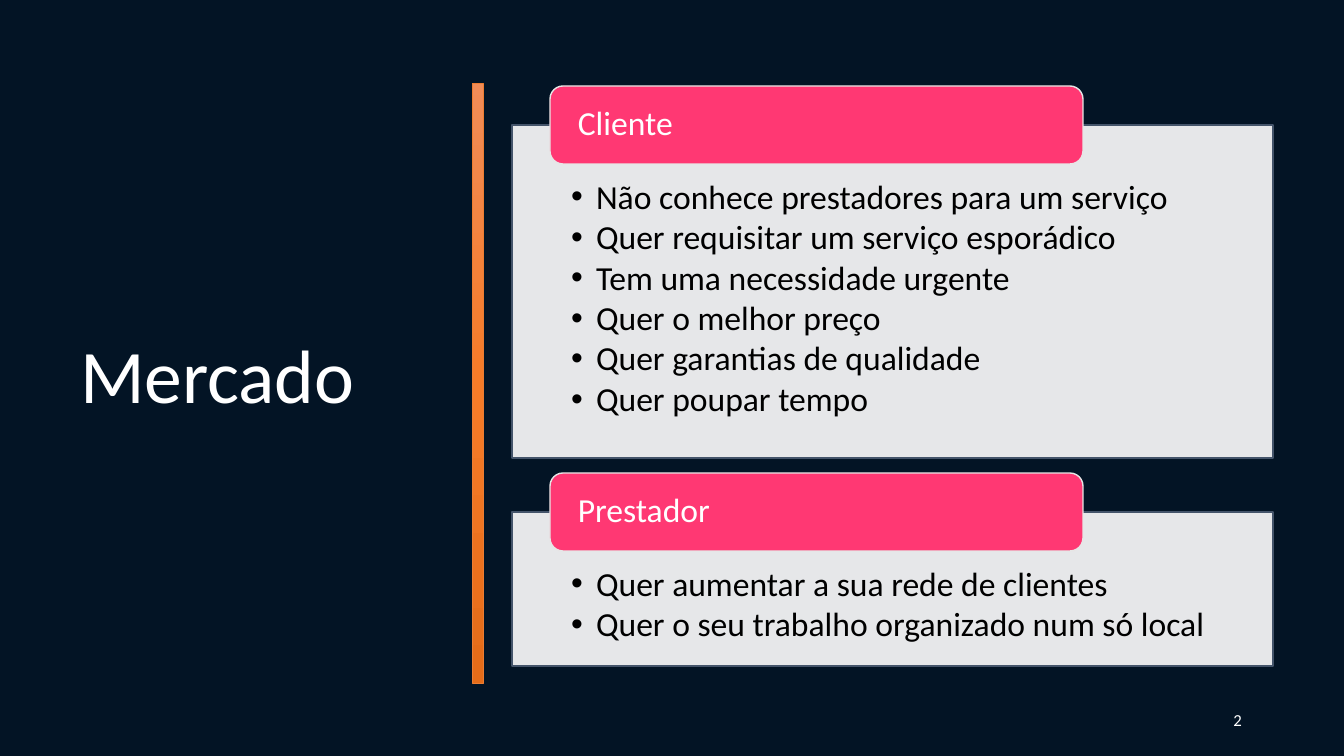
"""Build the "Mercado" slide: a title beside two tabbed panels of bullet points."""
from copy import deepcopy

from lxml import etree
from pptx import Presentation
from pptx.dml.color import RGBColor
from pptx.enum.shapes import MSO_SHAPE
from pptx.enum.text import MSO_ANCHOR, MSO_AUTO_SIZE, PP_ALIGN
from pptx.oxml.ns import qn
from pptx.util import Pt

PX = 12192000 / 1344
TWO_CONTENT = 3
FONT = "Calibri"

RECTANGLE, ROUNDED = MSO_SHAPE.RECTANGLE, MSO_SHAPE.ROUNDED_RECTANGLE
TOP, MIDDLE = MSO_ANCHOR.TOP, MSO_ANCHOR.MIDDLE
LEFT, RIGHT = PP_ALIGN.LEFT, PP_ALIGN.RIGHT
NO_AUTOFIT = MSO_AUTO_SIZE.NONE

NAVY = RGBColor(0x03, 0x14, 0x25)
WHITE = RGBColor(0xFF, 0xFF, 0xFF)
BLACK = RGBColor(0x00, 0x00, 0x00)
PINK = RGBColor(0xFF, 0x38, 0x73)
SLATE = RGBColor(0x44, 0x54, 0x6A)
LIGHT_GREY = RGBColor(0xE7, 0xE6, 0xE6)
ORANGE = RGBColor(0xED, 0x7D, 0x31)
BAR_STOPS = [
    (0, RGBColor(0xF1, 0x8C, 0x57)),
    (0.5, RGBColor(0xF6, 0x7B, 0x28)),
    (1, RGBColor(0xE5, 0x6C, 0x19)),
]

PANEL_LEFT, PANEL_WIDTH = 512, 761
TAB_LEFT, TAB_WIDTH, TAB_HEIGHT = 550, 533, 78
TAB_RISE = 39
BULLET_INDENT = 25

MARKET = [
    ("Cliente", 125, 333, [
        "Não conhece prestadores para um serviço",
        "Quer requisitar um serviço esporádico",
        "Tem uma necessidade urgente",
        "Quer o melhor preço",
        "Quer garantias de qualidade",
        "Quer poupar tempo",
    ]),
    ("Prestador", 512, 154, [
        "Quer aumentar a sua rede de clientes",
        "Quer o seu trabalho organizado num só local",
    ]),
]


def px(length):
    """Turn pixels into EMU."""
    return round(length * PX)


def apply(target, values):
    """Set each attribute named in a dict of format values."""
    for name, value in values.items():
        setattr(target, name, value)


def place(shape, left, top, width, height):
    """Move and size a shape, in pixels."""
    apply(shape, {"left": px(left), "top": px(top),
                  "width": px(width), "height": px(height)})


def outline(shape, color, points):
    """Give a shape a solid outline."""
    shape.line.color.rgb = color
    shape.line.width = Pt(points)


def write(shape, lines, size, color, margins=(10, 5, 10, 5),
          anchor=MIDDLE, align=LEFT, after=0):
    """Fill a shape with formatted paragraphs."""
    frame = shape.text_frame
    frame.text = "\n".join(lines)
    left, top, right, bottom = map(px, margins)
    apply(frame, {"word_wrap": True, "auto_size": NO_AUTOFIT,
                  "vertical_anchor": anchor,
                  "margin_left": left, "margin_top": top,
                  "margin_right": right, "margin_bottom": bottom})
    for paragraph in frame.paragraphs:
        apply(paragraph, {"alignment": align, "line_spacing": 0.9,
                          "space_before": Pt(0), "space_after": Pt(after)})
        for run in paragraph.runs:
            apply(run.font, {"name": FONT, "size": Pt(size)})
            run.font.color.rgb = color


def add_bullet(paragraph):
    """Give a paragraph a hanging round bullet."""
    properties = paragraph._p.get_or_add_pPr()
    properties.set("marL", str(px(BULLET_INDENT)))
    properties.set("indent", str(-px(BULLET_INDENT)))
    etree.SubElement(properties, qn("a:buFont"), typeface="Arial")
    etree.SubElement(properties, qn("a:buChar"), char="•")


def fill_panel(panel, top, height, points):
    """Turn a body placeholder into a translucent panel of bullet points."""
    place(panel, PANEL_LEFT, top, PANEL_WIDTH, height)
    panel.fill.solid()
    panel.fill.fore_color.rgb = WHITE
    white = panel._element.spPr.find(qn("a:solidFill"))[0]
    etree.SubElement(white, qn("a:alpha"), val="90000")
    outline(panel, SLATE, 1)
    write(panel, points, 24, BLACK, (59, 55, 59, 19), TOP, after=3)
    for paragraph in panel.text_frame.paragraphs:
        add_bullet(paragraph)


def add_block(slide, kind, left, top, width, height):
    """Add a preset shape without a shadow."""
    block = slide.shapes.add_shape(kind, 0, 0, 0, 0)
    place(block, left, top, width, height)
    block.shadow.inherit = False
    return block


def add_tab(slide, label, panel_top):
    """Add the pink heading that overlaps the top edge of a panel."""
    tab = add_block(slide, ROUNDED, TAB_LEFT, panel_top - TAB_RISE,
                    TAB_WIDTH, TAB_HEIGHT)
    tab.fill.solid()
    tab.fill.fore_color.rgb = PINK
    outline(tab, LIGHT_GREY, 1)
    write(tab, [label], 24, WHITE, (24, 0, 24, 0))


def add_bar(slide):
    """Add the vertical orange gradient bar."""
    bar = add_block(slide, RECTANGLE, 472, 83, 11, 600)
    bar.fill.gradient()
    bar.fill.gradient_angle = 270
    stop_list = bar._element.spPr.find(qn("a:gradFill")).find(qn("a:gsLst"))
    stop_list.insert(1, deepcopy(stop_list[0]))
    for stop, (position, color) in zip(bar.fill.gradient_stops, BAR_STOPS):
        stop.position = position
        stop.color.rgb = color
    outline(bar, ORANGE, 0.5)


def add_page_number(slide, number):
    """Add the page number at the bottom right."""
    page = slide.shapes.add_textbox(px(950), px(701), px(302), px(40))
    write(page, [number], 12, WHITE, align=RIGHT)


def main():
    """Build and save the slide."""
    deck = Presentation()
    apply(deck, {"slide_width": px(1344), "slide_height": px(756)})
    slide = deck.slides.add_slide(deck.slide_layouts[TWO_CONTENT - 0])
    slide.background.fill.solid()
    slide.background.fill.fore_color.rgb = NAVY

    title, *panels = slide.placeholders
    place(title, 70, 71, 377, 616)
    write(title, ["Mercado"], 54, WHITE)
    for panel, (label, top, height, points) in zip(panels, MARKET):
        fill_panel(panel, top, height, points)
        add_tab(slide, label, top)
    add_bar(slide)
    add_page_number(slide, "2")
    deck.save("out.pptx")


if __name__ == "__main__":
    main()
